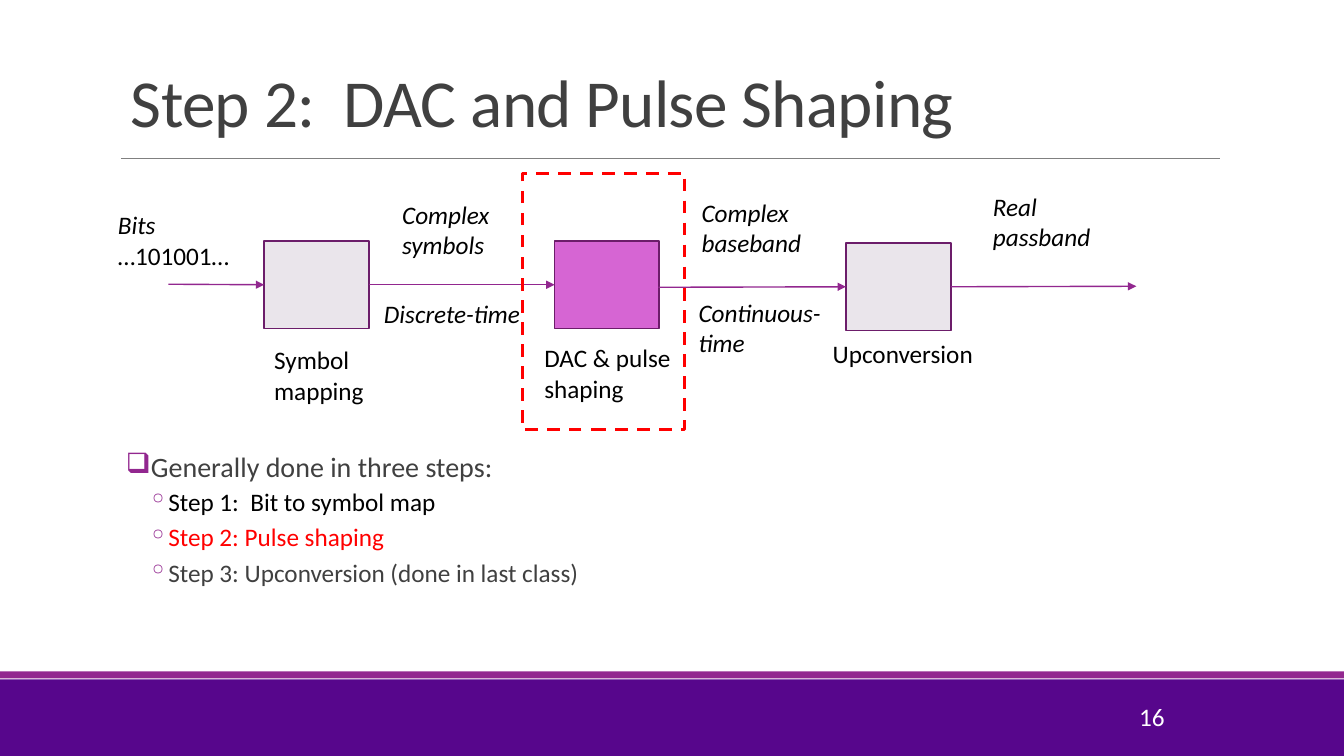
from lxml import etree
from pptx import Presentation
from pptx.dml.color import RGBColor
from pptx.enum.dml import MSO_LINE
from pptx.enum.shapes import MSO_CONNECTOR, MSO_SHAPE
from pptx.enum.text import MSO_ANCHOR, PP_ALIGN
from pptx.oxml.ns import qn
from pptx.util import Inches, Pt

RECTANGLE = MSO_SHAPE.RECTANGLE
STRAIGHT = MSO_CONNECTOR.STRAIGHT
DASH = MSO_LINE.DASH
TOP, MIDDLE, BOTTOM = MSO_ANCHOR.TOP, MSO_ANCHOR.MIDDLE, MSO_ANCHOR.BOTTOM
LEFT, RIGHT = PP_ALIGN.LEFT, PP_ALIGN.RIGHT
LEFT_SIDE, RIGHT_SIDE = 1, 3

FONT = "Calibri"
COLORS = {
    "footer": "57068C", "accent": "92278F", "rule": "808080",
    "text": "404040", "black": "000000", "white": "FFFFFF", "red": "FF0000",
    "block": "EAE5EB", "active": "D665D3", "outline": "6C1D6A",
}
BLOCK_SIZE = (1.04, 0.87)
LABEL_SIZE = (1.61, 0.71)


def rgb(name):
    return RGBColor.from_string(COLORS[name])


def format_run(run, size, color, italic=False, spacing=None):
    run.font.name = FONT
    run.font.size = Pt(size)
    run.font.italic = italic
    run.font.color.rgb = rgb(color)
    if spacing is not None:
        run.font._element.set("spc", str(int(spacing * 100)))


def add_text(slide, text, box, size=18, color="black", italic=False,
             spacing=None, align=LEFT, anchor=TOP, line_spacing=1.0):
    frame = slide.shapes.add_textbox(*map(Inches, box)).text_frame
    frame.word_wrap = True
    frame.vertical_anchor = anchor
    frame.text = text
    for paragraph in frame.paragraphs:
        paragraph.alignment = align
        paragraph.line_spacing = line_spacing
        for run in paragraph.runs:
            format_run(run, size, color, italic, spacing)
    return frame


def add_rectangle(slide, box, fill=None, line=None, width=1.25, dash=None):
    rectangle = slide.shapes.add_shape(RECTANGLE, *map(Inches, box))
    rectangle.shadow.inherit = False
    if fill:
        rectangle.fill.solid()
        rectangle.fill.fore_color.rgb = rgb(fill)
    else:
        rectangle.fill.background()
    if line:
        rectangle.line.color.rgb = rgb(line)
        rectangle.line.width = Pt(width)
        if dash:
            rectangle.line.dash_style = dash
    else:
        rectangle.line.fill.background()
    return rectangle


def add_line(slide, start, end, color="accent", width=1, arrow=True,
             source=None, target=None):
    connector = slide.shapes.add_connector(STRAIGHT, *map(Inches, start + end))
    connector.line.color.rgb = rgb(color)
    connector.line.width = Pt(width)
    if arrow:
        etree.SubElement(connector.line._get_or_add_ln(), qn("a:tailEnd"), type="triangle")
    etree.SubElement(connector._element.spPr, qn("a:effectLst"))
    if source:
        connector.begin_connect(source, RIGHT_SIDE)
    if target:
        connector.end_connect(target, LEFT_SIDE)


def add_bullet(paragraph, mark, margin, indent, before, after):
    properties = paragraph._p.get_or_add_pPr()
    properties.set("marL", str(Inches(margin)))
    properties.set("indent", str(Inches(indent)))
    bullet_color = etree.SubElement(properties, qn("a:buClr"))
    etree.SubElement(bullet_color, qn("a:srgbClr"), val=COLORS["accent"])
    etree.SubElement(properties, qn("a:buChar"), char=mark)
    paragraph.line_spacing = 0.9
    paragraph.space_before = Pt(before)
    paragraph.space_after = Pt(after)


def add_steps(slide):
    steps = [
        ("Step 1:  Bit to symbol map", "black"),
        ("Step 2: Pulse shaping", "red"),
        ("Step 3: Upconversion (done in last class)", "text"),
    ]
    lines = ["Generally done in three steps:"] + [step for step, _ in steps]
    frame = add_text(slide, "\n".join(lines), (1.25, 4.45, 8.5, 2.1))
    frame.margin_left = frame.margin_right = 0
    intro, *items = frame.paragraphs
    add_bullet(intro, "❑", 0.1, -0.1, 0, 2)
    format_run(intro.runs[0], 20, "text")
    for item, (_, color) in zip(items, steps):
        item.level = 1
        add_bullet(item, "◦", 0.42, -0.2, 2, 4)
        format_run(item.runs[0], 18, color)


def add_diagram(slide):
    mapping, shaping, upconversion = [
        add_rectangle(slide, (left, top) + BLOCK_SIZE, fill, "outline")
        for left, top, fill in [
            (2.62, 2.39, "block"), (5.5, 2.39, "active"), (8.39, 2.41, "block")]
    ]
    add_line(slide, (1.67, 2.82), (2.62, 2.82), target=mapping)
    add_line(slide, (3.66, 2.82), (5.5, 2.82), source=mapping, target=shaping)
    add_line(slide, (6.53, 2.85), (8.38, 2.85), target=upconversion)
    add_line(slide, (9.43, 2.84), (11.27, 2.84), source=upconversion)

    bits = add_text(slide, "Bits\n…101001…", (1.07, 2.03) + LABEL_SIZE, italic=True)
    bits.paragraphs[1].runs[0].font.italic = False
    for signal, left, top in [
        ("Complex symbols", 3.89, 1.93),
        ("Discrete-time", 3.71, 2.91),
        ("Complex baseband", 6.86, 1.91),
        ("Real passband", 9.75, 1.85),
    ]:
        add_text(slide, signal, (left, top) + LABEL_SIZE, italic=True)
    add_text(slide, "Continuous-time", (6.83, 2.9, 1.41, 0.71), italic=True)
    for stage, left, top in [
        ("Symbol mapping", 2.62, 3.37),
        ("DAC & pulse shaping", 5.3, 3.35),
        ("Upconversion", 8.16, 3.31),
    ]:
        add_text(slide, stage, (left, top) + LABEL_SIZE)
    add_rectangle(slide, (5.18, 1.72, 1.61, 2.54), line="red", width=2.25, dash=DASH)


def main():
    presentation = Presentation()
    presentation.slide_width = Inches(13.33)
    presentation.slide_height = Inches(7.5)
    slide = presentation.slides.add_slide(presentation.slide_layouts[6])

    add_rectangle(slide, (0, 6.74, 13.33, 0.76), "footer")
    add_rectangle(slide, (0, 6.66, 13.33, 0.07), "accent")
    add_line(slide, (1.2, 1.57), (12.1, 1.57), color="rule", width=0.5, arrow=False)
    add_text(slide, "Step 2:  DAC and Pulse Shaping", (1.2, 0.31, 11, 1.14), size=48,
             color="text", spacing=-0.5, anchor=BOTTOM, line_spacing=0.85)
    add_text(slide, "16", (10.22, 6.91, 1.43, 0.4), color="white",
             align=RIGHT, anchor=MIDDLE)
    add_steps(slide)
    add_diagram(slide)
    presentation.save("out.pptx")


if __name__ == "__main__":
    main()
